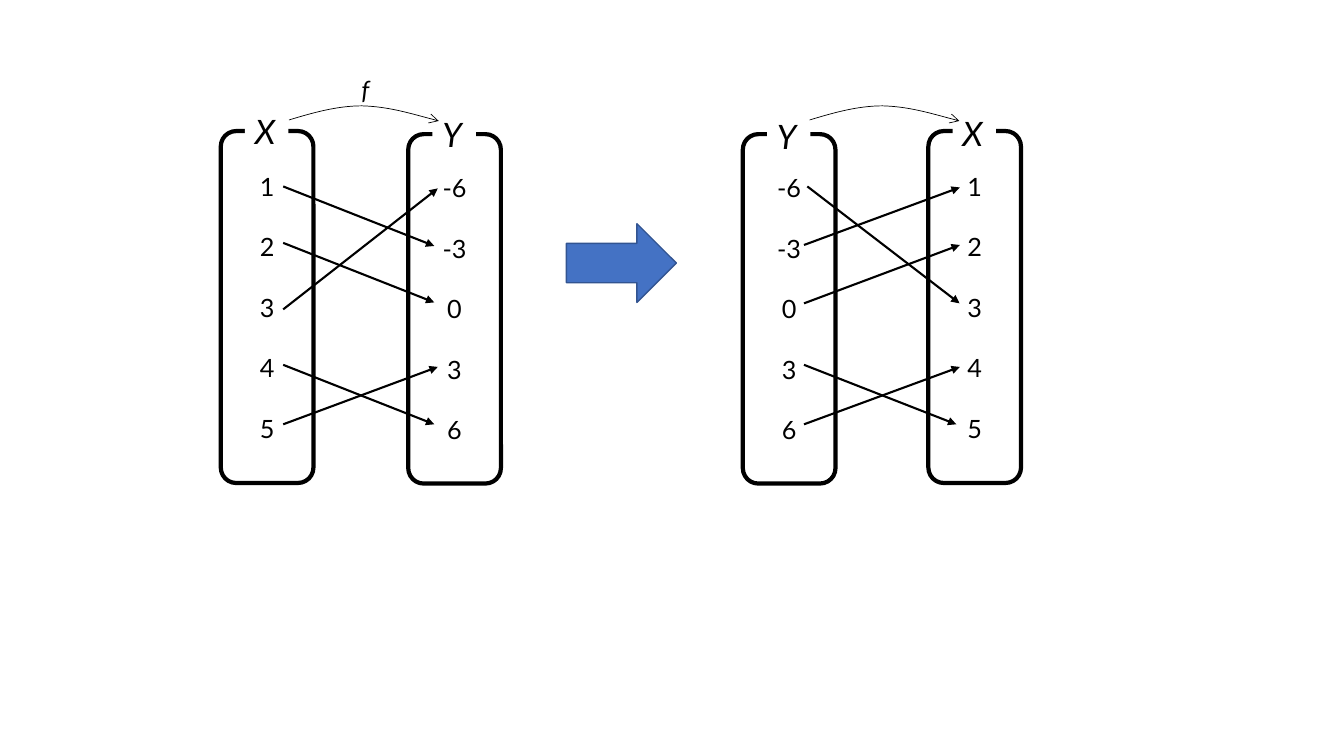
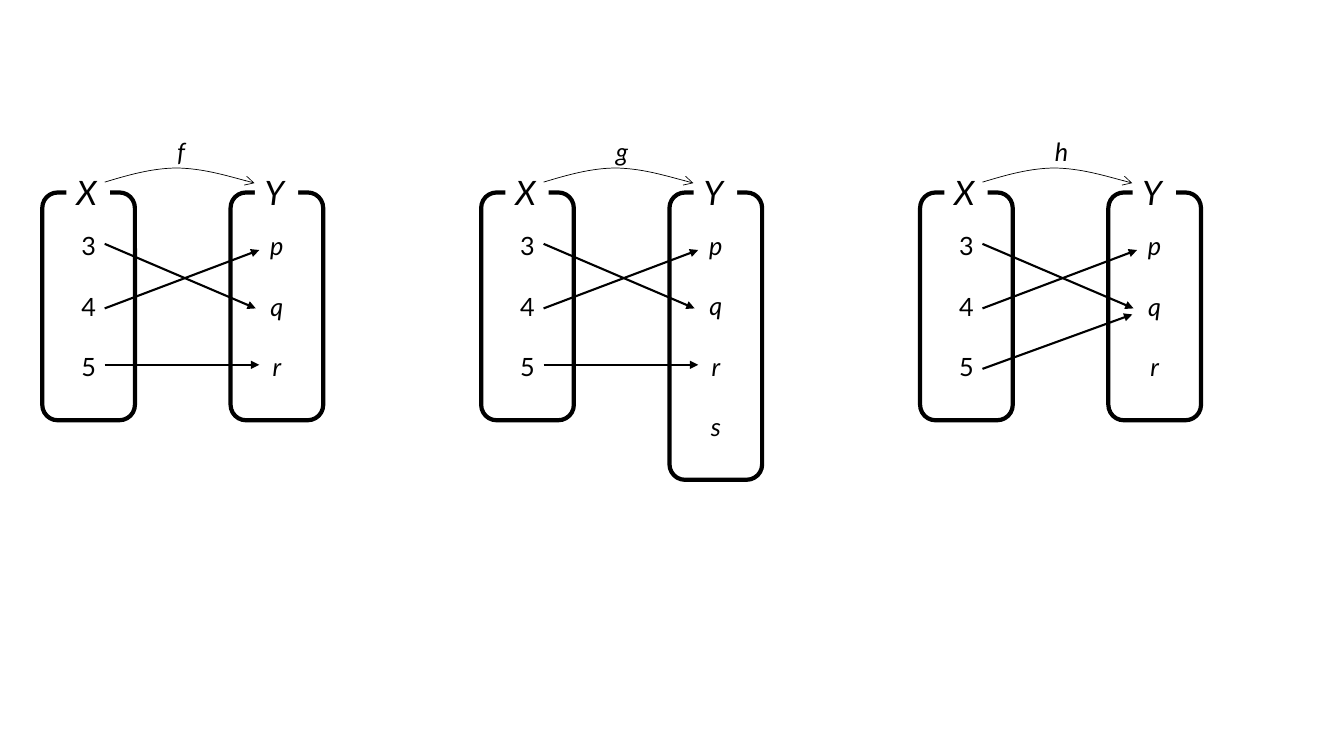
import pptx
import pptx.util
import pptx.dml.color
import pptx.enum.shapes
import pptx.enum.text
import pptx.oxml.ns
from lxml import etree

Pt = pptx.util.Pt
SHAPE = pptx.enum.shapes.MSO_SHAPE
ANCHOR = pptx.enum.text.MSO_ANCHOR
ALIGN = pptx.enum.text.PP_ALIGN
qn = pptx.oxml.ns.qn

COLORS = {"ink": "000000", "paper": "FFFFFF", "block": "4472C4", "block_edge": "325491"}
FONT = "Lato"
PANEL_W = 66.2
ROW_GAP = 21.6
TITLE_DX, TITLE_W, TITLE_H = 17.3, 31, 36
LABEL_DX, LABEL_DY, LABEL_W, LABEL_H = 44.6, -25.9, 26.6, 29
# Bezier points of the arc above each mapping, from its top left corner
ARC = [(0, 10.1), (16.9, 5), (34.2, 0), (52.1, 0), (70, 0.5), (88.3, 5.8), (107, 10.8)]
FALLING_END, RISING_END = 152.5, 155  # arrow tips, from the left of the mapping

NUMBERS = ["1", "2", "3", "4", "5"]
VALUES = ["-6", "-3", "0", "3", "6"]

# A panel is (title, rows, italic, top, bottom).
X_FIVE = ("X", NUMBERS, False, 93.6, 345)
Y_FIVE = ("Y", VALUES, False, 95.8, 345.4)
X_THREE = ("X", ["3", "4", "5"], False, 137.5, 300.2)
Y_THREE = ("Y", ["p", "q", "r"], True, 137.5, 300.2)
Y_FOUR = ("Y", ["p", "q", "r", "s"], True, 137.5, 342.7)

# An arrow is (start y, end y) and, if needed, (shift of start x, shift of end x).
CROSSING = [(174.2, 220.3), (220.3, 178.6)]
LEVEL = (260.6, 260.6)

INVERSE_SLIDE = [
    dict(left=157.7, step=133.9, panels=(X_FIVE, Y_FIVE), label="f",
         title_dy=-18, arc=(48.7, 75.6), arrow_x=44.6,
         arrows=[(133.2, 175.7), (173.5, 216), (221, 134.6),
                 (260.6, 303.1), (303.1, 262.1)]),
    dict(left=530.6, step=132.5, panels=(Y_FIVE, X_FIVE), label=None,
         title_dy=-16.5, arc=(47.7, 75.6), arrow_x=43.7,
         arrows=[(133.2, 216.7, 2.4, 2.3), (175, 133.9), (216.7, 175),
                 (260.6, 303.1), (303.1, 262.1)]),
]
BLOCK_ARROW = (404.6, 159.8, 78.5, 56.2)

MAPPINGS = [("f", Y_THREE, CROSSING + [LEVEL]),
            ("g", Y_FOUR, CROSSING + [LEVEL]),
            ("h", Y_THREE, CROSSING + [(263.5, 224.6, 0, -3.4)])]
FIRST_LEFT, MAPPING_PITCH = 30.2, 313.5
COMPARISON_SLIDE = [
    dict(left=FIRST_LEFT + i * MAPPING_PITCH, step=134.5, panels=(X_THREE, panel),
         label=label, title_dy=-18, arc=(44.6, 120), arrow_x=44.6, arrows=arrows)
    for i, (label, panel, arrows) in enumerate(MAPPINGS)]


def rgb(name):
    return pptx.dml.color.RGBColor.from_string(COLORS[name])


def style(sp, fill=None, line=None, weight=0):
    sp.shadow.inherit = False
    if fill:
        sp.fill.solid()
        sp.fill.fore_color.rgb = rgb(fill)
    else:
        sp.fill.background()
    if line:
        sp.line.color.rgb = rgb(line)
        sp.line.width = Pt(weight)
    else:
        sp.line.fill.background()


def write(sp, rows, size, italic, align=ALIGN.LEFT, anchor=ANCHOR.TOP):
    tf = sp.text_frame
    tf.word_wrap = True
    tf.vertical_anchor = anchor
    for i, text in enumerate(rows):
        p = tf.add_paragraph() if i else tf.paragraphs[0]
        p.alignment = align
        if i:
            p.space_before = Pt(ROW_GAP)
        r = p.add_run()
        r.text = text
        r.font.name = FONT
        r.font.size = Pt(size)
        r.font.italic = italic
        r.font.color.rgb = rgb("ink")


def add_box(slide, kind, left, top, width, height, **look):
    sp = slide.shapes.add_shape(kind, Pt(left), Pt(top), Pt(width), Pt(height))
    style(sp, **look)
    return sp


def add_head(sp, kind):
    """Put an arrowhead at the end of the line."""
    etree.SubElement(sp._element.spPr.find(qn("a:ln")), qn("a:tailEnd"), type=kind)


def add_panel(slide, left, panel, title_dy):
    title, rows, italic, top, bottom = panel
    sp = add_box(slide, SHAPE.ROUNDED_RECTANGLE, left, top, PANEL_W, bottom - top,
                 line="ink", weight=3)
    write(sp, rows, 18, italic, ALIGN.CENTER, ANCHOR.MIDDLE)
    sp = add_box(slide, SHAPE.RECTANGLE, left + TITLE_DX, top + title_dy,
                 TITLE_W, TITLE_H, fill="paper")
    write(sp, [title], 24, True)


def add_arc(slide, left, top):
    points = [(Pt(left + x), Pt(top + y)) for x, y in ARC]
    builder = slide.shapes.build_freeform(*points[0])
    builder.add_line_segments(points[1:], close=False)
    sp = builder.convert_to_shape()
    style(sp, line="ink", weight=0.5)
    add_head(sp, "arrow")
    # Every three straight segments become one Bezier segment
    segments = list(sp._element.iter(qn("a:lnTo")))
    outline = segments[0].getparent()
    for i in range(0, len(segments), 3):
        curve = etree.SubElement(outline, qn("a:cubicBezTo"))
        for segment in segments[i:i + 3]:
            curve.append(segment[0])
            outline.remove(segment)


def add_arrow(slide, x1, y1, x2, y2):
    line = slide.shapes.add_connector(pptx.enum.shapes.MSO_CONNECTOR.STRAIGHT,
                                      Pt(x1), Pt(y1), Pt(x2), Pt(y2))
    line.line.color.rgb = rgb("ink")
    line.line.width = Pt(1.5)
    add_head(line, "triangle")
    etree.SubElement(line._element.spPr, qn("a:effectLst"))


def add_mapping(slide, left, step, panels, label, title_dy, arc, arrow_x, arrows):
    for i, panel in enumerate(panels):
        add_panel(slide, left + i * step, panel, title_dy)
    arc_left, arc_top = left + arc[0], arc[1]
    add_arc(slide, arc_left, arc_top)
    if label:
        sp = slide.shapes.add_textbox(Pt(arc_left + LABEL_DX), Pt(arc_top + LABEL_DY),
                                      Pt(LABEL_W), Pt(LABEL_H))
        write(sp, [label], 18, True)
    for y1, y2, *shifts in arrows:
        start_shift, end_shift = shifts or (0, 0)
        end = FALLING_END if y2 > y1 else RISING_END
        add_arrow(slide, left + arrow_x + start_shift, y1, left + end + end_shift, y2)


def main():
    prs = pptx.Presentation()
    prs.slide_width, prs.slide_height = Pt(960), Pt(540)
    slides = []
    for mappings in (INVERSE_SLIDE, COMPARISON_SLIDE):
        slide = prs.slides.add_slide(prs.slide_layouts[6])
        slides.append(slide)
        for mapping in mappings:
            add_mapping(slide, **mapping)
    add_box(slides[0], SHAPE.RIGHT_ARROW, *BLOCK_ARROW,
            fill="block", line="block_edge", weight=1)
    prs.save("out.pptx")


if __name__ == "__main__":
    main()
